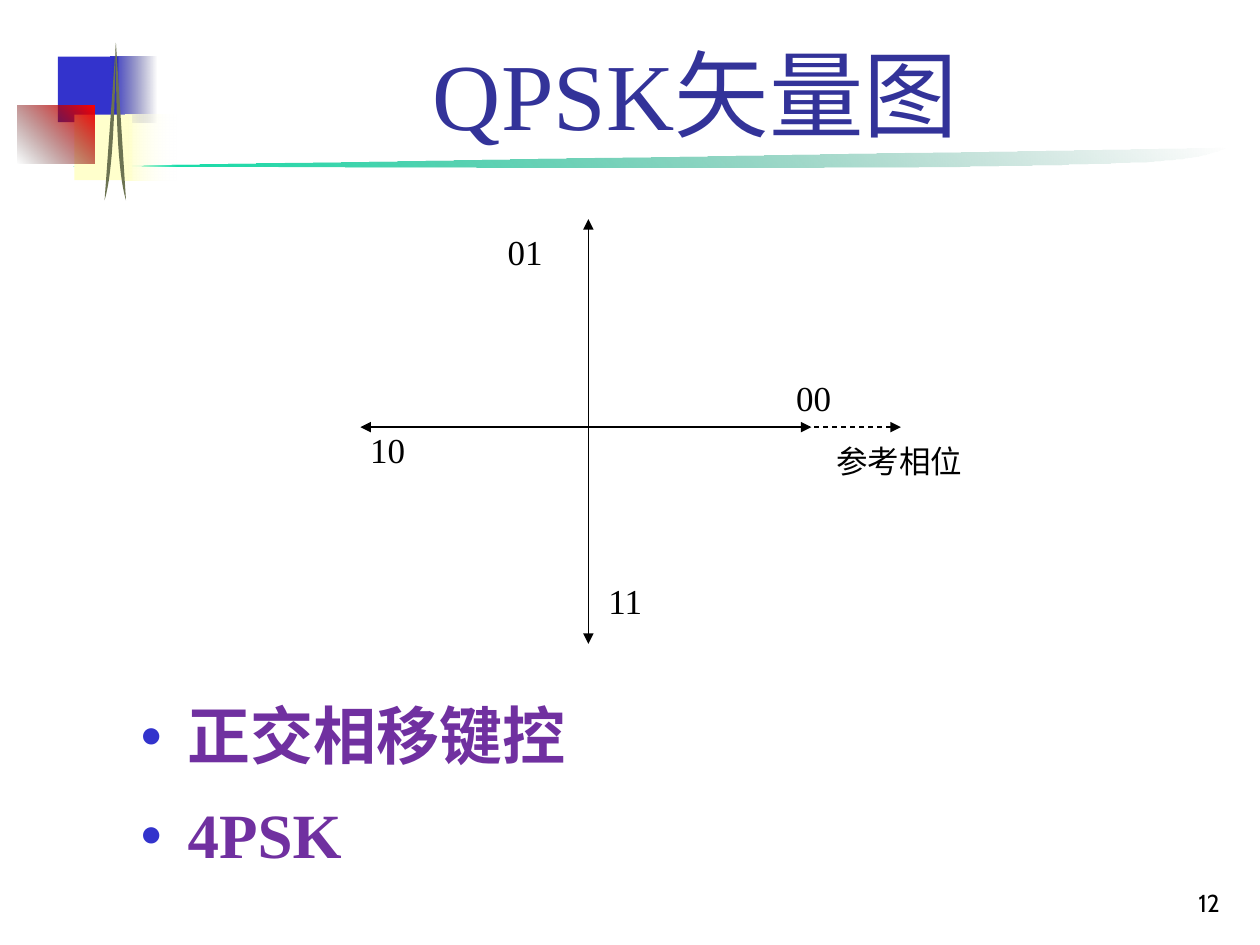
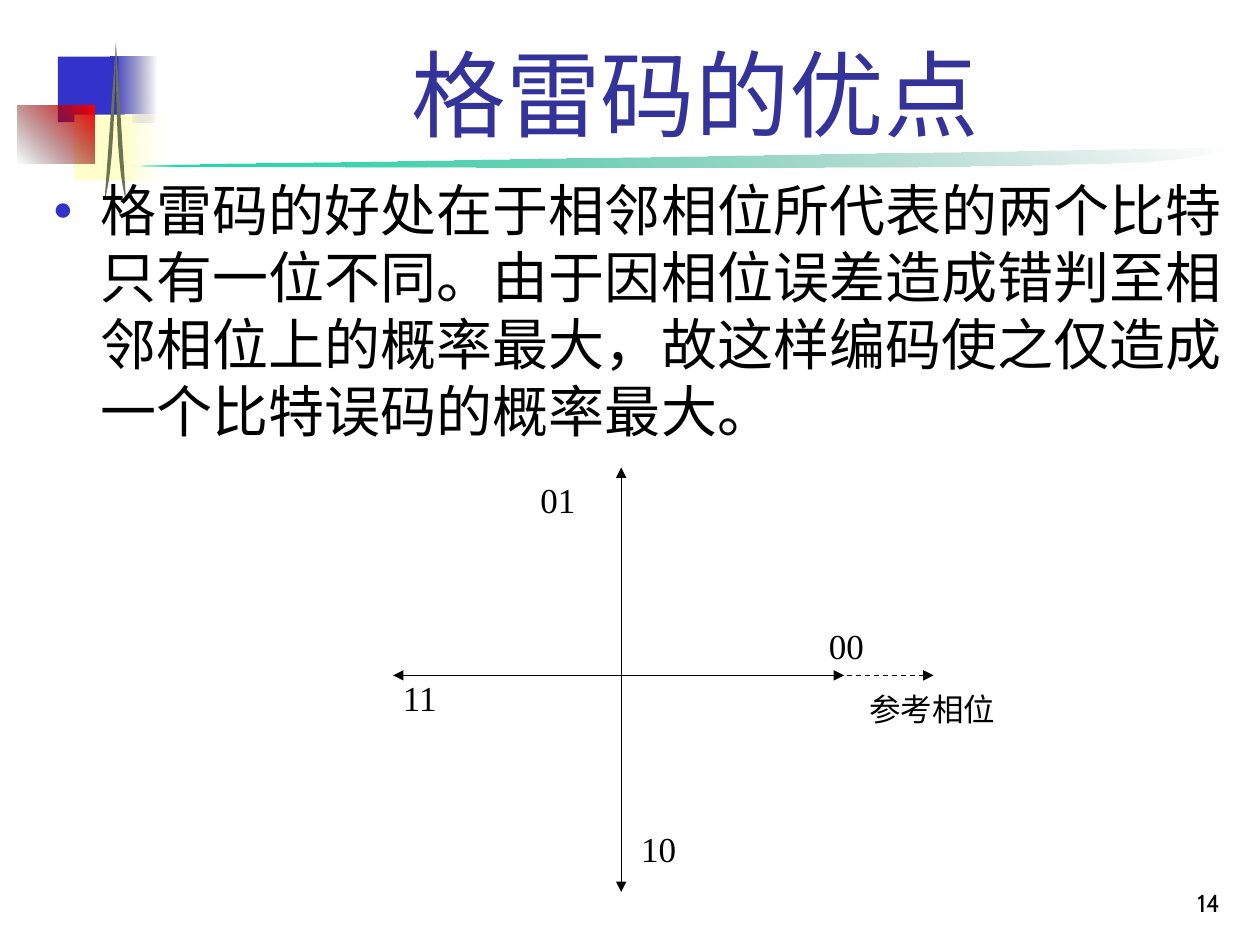
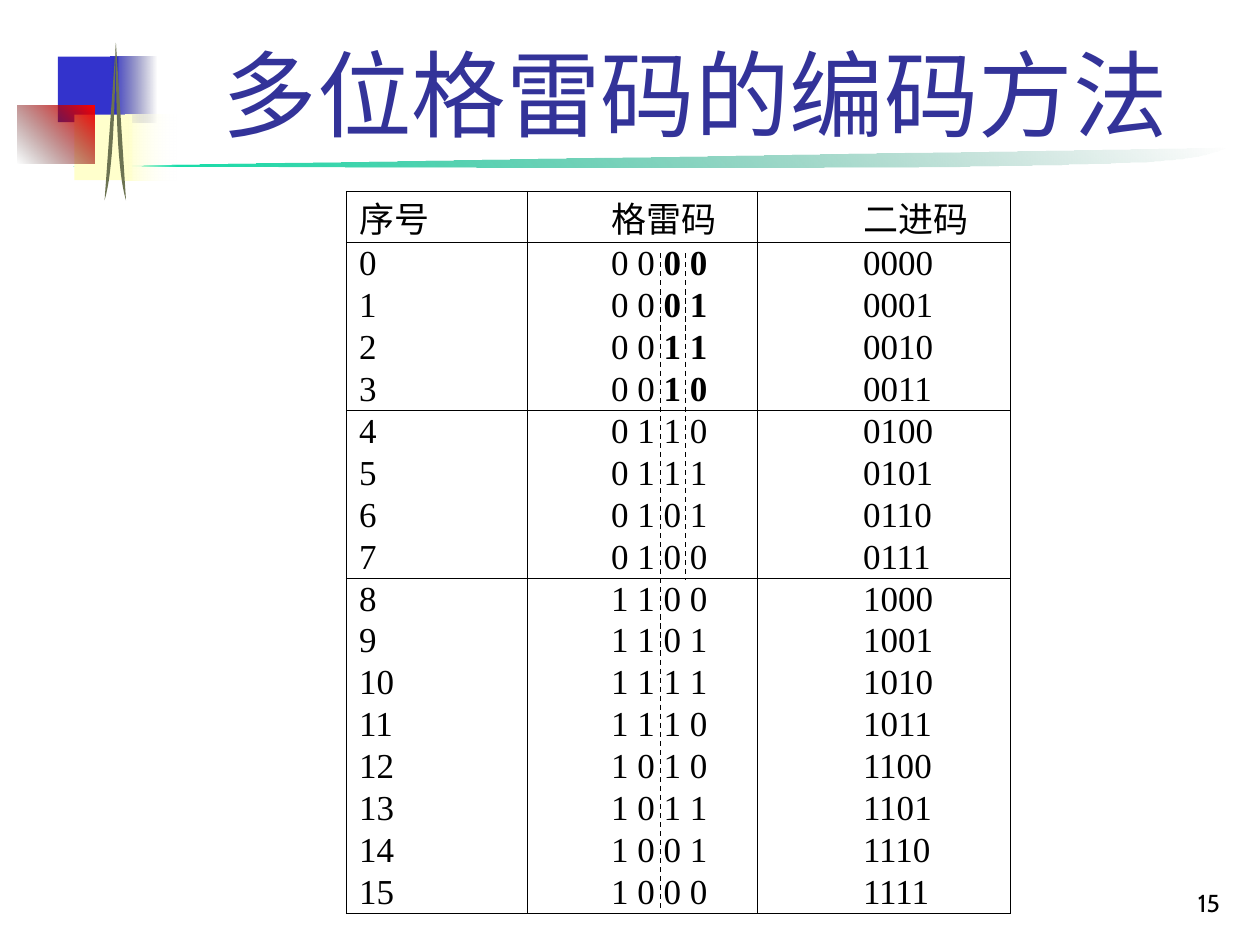
import pptx
import pptx.dml.color
import pptx.enum.dml
import pptx.enum.shapes
import pptx.enum.text
import pptx.oxml.ns
import pptx.util
from lxml import etree
from pptx.util import Inches

BLUE, TITLE_BLUE, PURPLE = "3333CC", "333399", "7030A0"
BLACK, WHITE, CREAM, OLIVE = "000000", "FFFFFF", "FFFFCC", "6C7351"
SERIF, NUMBER_FONT = "Times New Roman", "Cabin"
LINE_WIDTH = pptx.util.Pt(0.75)
ALIGN = pptx.enum.text.PP_ALIGN
ANCHOR = pptx.enum.text.MSO_ANCHOR
qn = pptx.oxml.ns.qn


def rgb(hex_colour):
    return pptx.dml.color.RGBColor.from_string(hex_colour)


def add_xml(parent, tag, **attributes):
    return etree.SubElement(parent, qn(tag), attributes)


def write(paragraph, text, size=20, font=SERIF, colour=BLACK, bold=False,
          align=ALIGN.LEFT, line_height=None, space_before=0):
    run = paragraph.add_run()
    run.text = text
    run.font.size = pptx.util.Pt(size)
    run.font.name = font
    run.font.bold = bold
    run.font.color.rgb = rgb(colour)
    paragraph.alignment = align
    paragraph.space_before = pptx.util.Pt(space_before)
    if line_height:
        paragraph.line_spacing = pptx.util.Pt(line_height)


def add_bullet(paragraph):
    properties = paragraph._p.get_or_add_pPr()
    indent = Inches(0.38)
    properties.set("marL", str(indent))
    properties.set("indent", str(-indent))
    add_xml(add_xml(properties, "a:buClr"), "a:srgbClr", val=BLUE)
    add_xml(properties, "a:buSzPct", val="60000")
    add_xml(properties, "a:buFont", typeface=SERIF)
    add_xml(properties, "a:buChar", char="●")


def set_border(cell, edge, visible):
    border = add_xml(cell._tc.get_or_add_tcPr(), f"a:ln{edge}", w=str(LINE_WIDTH))
    if visible:
        add_xml(add_xml(border, "a:solidFill"), "a:srgbClr", val=BLACK)
    else:
        add_xml(border, "a:noFill")


def curve_points(start, *segments, steps=16):
    """Sample a chain of cubic curves, each given by two controls and an end."""
    points = [start]
    for first, second, end in segments:
        for step in range(1, steps + 1):
            t = step / steps
            weights = ((1 - t) ** 3, 3 * t * (1 - t) ** 2, 3 * t * t * (1 - t), t ** 3)
            corners = (start, first, second, end)
            points.append(tuple(sum(w * corner[axis] for w, corner in zip(weights, corners))
                                for axis in (0, 1)))
        start = end
    return [(Inches(x), Inches(y)) for x, y in points]


class Deck:
    def __init__(self):
        self.presentation = pptx.Presentation()
        self.presentation.slide_width = Inches(10)
        self.presentation.slide_height = Inches(7.5)
        self.slide = None

    def start_slide(self, title, number, layout=1):
        layouts = self.presentation.slide_layouts
        self.slide = self.presentation.slides.add_slide(layouts[layout])
        if len(self.presentation.slides) == 1:
            self.decorate_master()
        heading = self.place(self.slide.shapes.title, 1.26, 0.23, 8.52, 1.01, ANCHOR.BOTTOM)
        write(heading.paragraphs[0], title, size=54, colour=TITLE_BLUE, align=ALIGN.CENTER)
        self.text(str(number), 7.7, 6.83, 2.08, 0.5, anchor=ANCHOR.BOTTOM,
                  size=14, font=NUMBER_FONT, align=ALIGN.RIGHT)

    def place(self, holder, left, top, width, height, anchor=ANCHOR.TOP):
        """Move a text holder and return its frame, ready for text."""
        holder.left, holder.top = Inches(left), Inches(top)
        holder.width, holder.height = Inches(width), Inches(height)
        frame = holder.text_frame
        frame.word_wrap = True
        frame.auto_size = pptx.enum.text.MSO_AUTO_SIZE.NONE
        frame.vertical_anchor = anchor
        return frame

    def text(self, text, left, top, width, height, anchor=ANCHOR.TOP, **style):
        box = self.slide.shapes.add_textbox(0, 0, 0, 0)
        frame = self.place(box, left, top, width, height, anchor)
        write(frame.paragraphs[0], text, **style)

    def bullets(self, items, left, top, width, height, space_before=0, **style):
        frame = self.place(self.slide.placeholders[1], left, top, width, height)
        frame.margin_right = Inches(0.05)
        for index, item in enumerate(items):
            paragraph = frame.add_paragraph() if index else frame.paragraphs[0]
            add_bullet(paragraph)
            write(paragraph, item, space_before=space_before if index else 0, **style)

    def line(self, start, end, dashed=False, start_arrow=False, end_arrow=False):
        connector = self.slide.shapes.add_connector(
            pptx.enum.shapes.MSO_CONNECTOR.STRAIGHT, *map(Inches, start + end))
        connector.line.color.rgb = rgb(BLACK)
        connector.line.width = LINE_WIDTH
        if dashed:
            connector.line.dash_style = pptx.enum.dml.MSO_LINE.DASH
        outline = connector.line._get_or_add_ln()
        for tag, wanted in (("a:headEnd", start_arrow), ("a:tailEnd", end_arrow)):
            if wanted:
                add_xml(outline, tag, type="triangle")
        add_xml(connector.element.spPr, "a:effectLst")

    def paint(self, shape, colours, angle=0, clear_stop=None):
        """Fill with one colour, or a gradient with one transparent stop."""
        shape.shadow.inherit = False
        shape.line.fill.background()
        if len(colours) == 1:
            shape.fill.solid()
            shape.fill.fore_color.rgb = rgb(colours[0])
            return shape
        shape.fill.gradient()
        shape.fill.gradient_angle = angle
        for stop, colour, position in zip(shape.fill.gradient_stops, colours, (0, 1)):
            stop.color.rgb = rgb(colour)
            stop.position = position
        stops = list(shape.element.spPr.iter(qn("a:srgbClr")))
        add_xml(stops[clear_stop], "a:alpha", val="0")
        return shape

    def rectangle(self, left, top, width, height, *colours, **gradient):
        shape = self.slide.shapes.add_shape(
            pptx.enum.shapes.MSO_SHAPE.RECTANGLE,
            *map(Inches, (left, top, width, height)))
        return self.paint(shape, colours, **gradient)

    def outline(self, points, *colours, **gradient):
        builder = self.slide.shapes.build_freeform(*points[0], scale=1.0)
        builder.add_line_segments(points[1:], close=True)
        return self.paint(builder.convert_to_shape(), colours, **gradient)

    def decorate_master(self):
        """Draw the shared emblem and swoosh, then move them to the master."""
        swoosh = curve_points((0.58, 1.31), ((3.49, 1.32), (6.39, 1.34), (7.92, 1.31)),
                              ((9.44, 1.29), (9.48, 1.26), (9.75, 1.17)))
        tip = (0.92, 0.34)
        left_blade = curve_points(tip, ((0.91, 0.85), (0.9, 1.36), (0.83, 1.59)))
        right_blade = curve_points(tip, ((0.92, 0.85), (0.93, 1.36), (1, 1.59)))
        emblem = [
            self.outline(swoosh, "00E4A8", "006A4E", angle=45, clear_stop=1),
            self.rectangle(0.46, 0.45, 0.48, 0.52, BLUE),
            self.rectangle(0.88, 0.45, 0.36, 0.52, BLUE, "18185E", clear_stop=1),
            self.rectangle(0.59, 0.91, 0.46, 0.52, CREAM),
            self.rectangle(1, 0.91, 0.4, 0.52, CREAM, WHITE, clear_stop=1),
            self.rectangle(0.14, 0.84, 0.61, 0.46, "100000", "FF0000", angle=45, clear_stop=0),
            self.outline(left_blade, OLIVE),
            self.outline(right_blade, OLIVE),
        ]
        master_tree = self.presentation.slide_master.shapes.element
        for index, part in enumerate(emblem):
            part.element.nvSpPr.cNvPr.set("id", str(100 + index))
            master_tree.insert(2 + index, part.element)

    def vector_diagram(self, x, y, right, top, left, bottom):
        """Draw phase vectors around (x, y), labelled with the given bits."""
        self.line((x, y), (x + 2.48, y), dashed=True, end_arrow=True)
        self.line((x - 1.81, y), (x + 1.77, y), start_arrow=True, end_arrow=True)
        self.line((x, y - 1.65), (x, y + 1.72), start_arrow=True, end_arrow=True)
        for bits, dx, dy in ((right, 1.55, -0.45), (top, -0.74, -1.61),
                             (left, -1.83, -0.04), (bottom, 0.06, 1.16)):
            self.text(bits, x + dx, y + dy, 0.74, 0.49)
        self.text("参考相位", x + 1.87, y + 0.07, 1.4, 0.49, size=18)

    def code_table(self, rows, left, top, widths, margins, header_height, body_height,
                   ruled_after):
        """Fill a table; each cell is a list of (text, bold) parts."""
        table = self.slide.shapes.add_table(
            len(rows), len(widths), Inches(left), Inches(top), Inches(sum(widths)),
            Inches(header_height + body_height)).table
        table.first_row = table.horz_banding = False
        row_height = body_height / (len(rows) - 1)
        for column, width in zip(table.columns, widths):
            column.width = Inches(width)
        for index, (table_row, contents) in enumerate(zip(table.rows, rows)):
            table_row.height = Inches(row_height if index else header_height)
            for cell, parts, margin in zip(table_row.cells, contents, margins):
                cell.margin_left = Inches(margin)
                cell.margin_right = cell.margin_top = cell.margin_bottom = 0
                cell.vertical_anchor = ANCHOR.MIDDLE
                set_border(cell, "L", True)
                set_border(cell, "R", True)
                set_border(cell, "T", index == 0 or index - 1 in ruled_after)
                set_border(cell, "B", index in ruled_after)
                cell.fill.solid()
                cell.fill.fore_color.rgb = rgb(WHITE)
                for text, bold in parts:
                    write(cell.text_frame.paragraphs[0], text, bold=bold)


def gray_code_rows():
    rows = [[[(heading, False)] for heading in ("序号", "格雷码", "二进码")]]
    for number in range(16):
        gray = " ".join(f"{number ^ number >> 1:04b}")
        rows.append([[(str(number), False)],
                     [(gray[:4], False), (gray[4:], number < 4)],
                     [(f"{number:04b}", False)]])
    return rows


def main():
    deck = Deck()

    deck.start_slide("QPSK矢量图", 12)
    deck.bullets(["正交相移键控", "4PSK"], 1.01, 5.42, 8.8, 1.75, size=36,
                 colour=PURPLE, bold=True, line_height=47.5, space_before=9)
    deck.vector_diagram(4.67, 3.39, right="00", top="01", left="10", bottom="11")

    deck.start_slide("格雷码的优点", 14)
    deck.bullets(["格雷码的好处在于相邻相位所代表的两个比特只有一位不同。"
                  "由于因相位误差造成错判至相邻相位上的概率最大，"
                  "故这样编码使之仅造成一个比特误码的概率最大。"],
                 0.32, 1.34, 9.48, 6.16, size=32, line_height=38.4)
    deck.vector_diagram(4.93, 5.36, right="00", top="01", left="11", bottom="10")

    deck.start_slide("多位格雷码的编码方法", 15, layout=5)
    deck.code_table(gray_code_rows(), 2.75, 1.52, widths=(1.44, 1.82, 2.01),
                    margins=(0.1, 0.66, 0.84), header_height=0.4, body_height=5.33,
                    ruled_after=(0, 4, 8, 16))
    for x, bottom in ((5.24, 7.24), (5.44, 4.6)):
        deck.line((x, 2.01), (x, bottom), dashed=True)

    deck.presentation.save("out.pptx")


if __name__ == "__main__":
    main()
